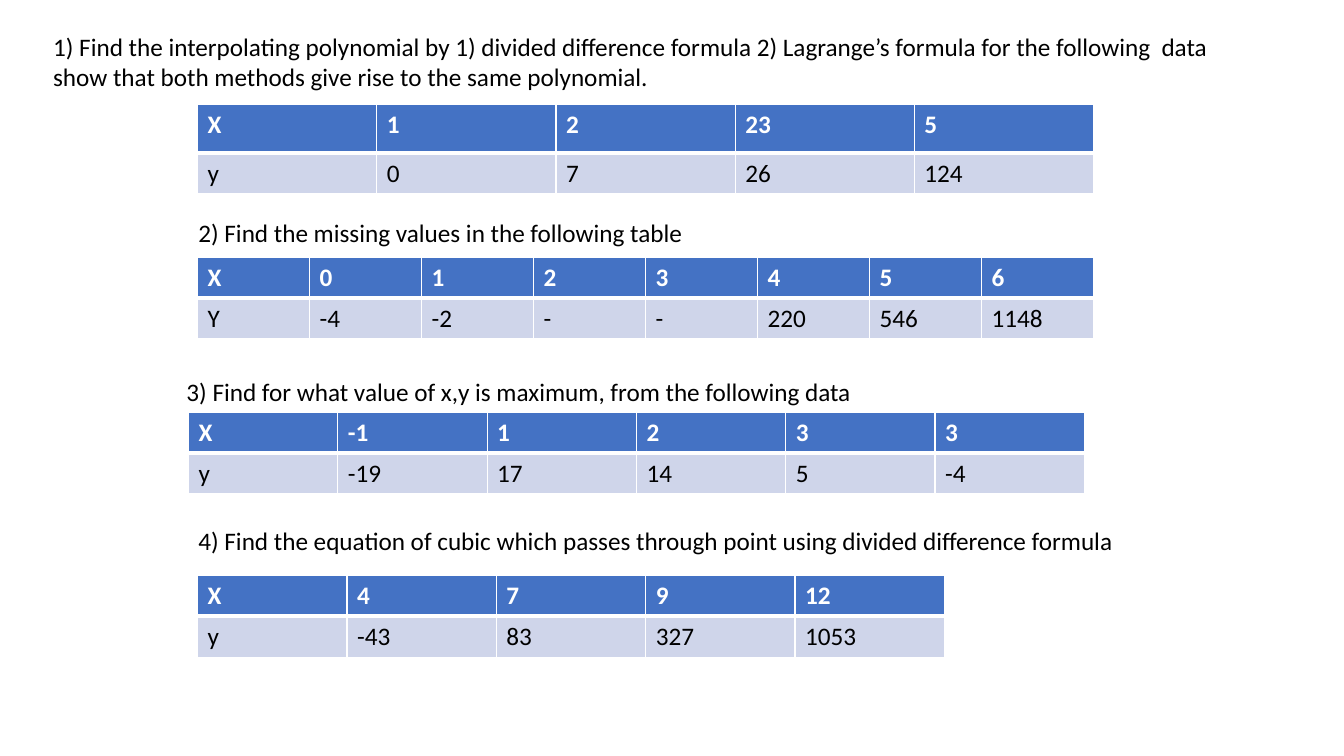
from lxml import etree
from pptx import Presentation
from pptx.dml.color import RGBColor
from pptx.enum.text import MSO_AUTO_SIZE
from pptx.oxml.ns import qn
from pptx.util import Cm, Pt

FIT = MSO_AUTO_SIZE.SHAPE_TO_FIT_TEXT
FONT = "Calibri"
COLORS = {"head": "4472C4", "body": "CFD5EA", "white": "FFFFFF", "black": "000000"}
WIDE = 22.58
ROW = 1.03


def write(frame, text, color="black", bold=False, size=18):
    para = frame.paragraphs[0]
    para.text = text
    para.font.name = FONT
    para.font.size = Pt(size)
    para.font.bold = bold
    para.font.color.rgb = RGBColor.from_string(COLORS[color])


def add_task(slide, text, left, top, width, height=1.02, wrap=True):
    box = slide.shapes.add_textbox(Cm(left), Cm(top), Cm(width), Cm(height))
    frame = box.text_frame
    frame.word_wrap = wrap
    frame.auto_size = FIT
    write(frame, text)


def add_edge(cell, side, width):
    props = cell._tc.get_or_add_tcPr()
    line = etree.SubElement(props, qn(f"a:ln{side}"), w=str(Pt(width)))
    fill = etree.SubElement(line, qn("a:solidFill"))
    etree.SubElement(fill, qn("a:srgbClr"), val=COLORS["white"])


def style_cell(cell, text, head):
    thick = "B" if head else "T"
    for side in "LRTB":
        add_edge(cell, side, 3 if side == thick else 1)
    cell.fill.solid()
    cell.fill.fore_color.rgb = RGBColor.from_string(COLORS["head" if head else "body"])
    write(cell.text_frame, text, color="white" if head else "black", bold=head)


def add_data(slide, rows, left, top, width=WIDE, first=ROW):
    count = len(rows[0])
    shape = slide.shapes.add_table(
        len(rows), count, Cm(left), Cm(top), Cm(width), Cm(first + ROW)
    )
    table = shape.table
    for col in table.columns:
        col.width = Cm(width / count)
    for row, height in zip(table.rows, (first, ROW)):
        row.height = Cm(height)
    for i, values in enumerate(rows):
        for j, value in enumerate(values):
            style_cell(table.cell(i, j), value, head=i == 0)


def main():
    prs = Presentation()
    prs.slide_width = Cm(33.87)
    prs.slide_height = Cm(19.05)
    slide = prs.slides.add_slide(prs.slide_layouts[6])

    add_task(
        slide,
        "1) Find the interpolating polynomial by 1) divided difference formula "
        "2) Lagrange’s formula for the following  data show that both methods "
        "give rise to the same polynomial.",
        1.09, 0.66, 29.85, height=1.8,
    )
    add_data(
        slide,
        [["X", "1", "2", "23", "5"], ["y", "0", "7", "26", "124"]],
        4.98, 2.64, first=1.22,
    )

    add_task(
        slide, "2) Find the missing values in the following table",
        4.75, 5.36, 12.85, wrap=False,
    )
    add_data(
        slide,
        [
            ["X", "0", "1", "2", "3", "4", "5", "6"],
            ["Y", "-4", "-2", "-", "-", "220", "546", "1148"],
        ],
        4.98, 6.48,
    )

    add_task(
        slide, "3) Find for what value of x,y is maximum, from the following data",
        4.45, 9.35, 17.75, wrap=False,
    )
    add_data(
        slide,
        [["X", "-1", "1", "2", "3", "3"], ["y", "-19", "17", "14", "5", "-4"]],
        4.75, 10.39,
    )

    add_task(
        slide,
        "4) Find the equation of cubic which passes through point "
        "using divided difference formula",
        4.75, 13.11, 24.23,
    )
    add_data(
        slide,
        [["X", "4", "7", "9", "12"], ["y", "-43", "83", "327", "1053"]],
        4.98, 14.5, width=18.82,
    )

    prs.save("out.pptx")


if __name__ == "__main__":
    main()
